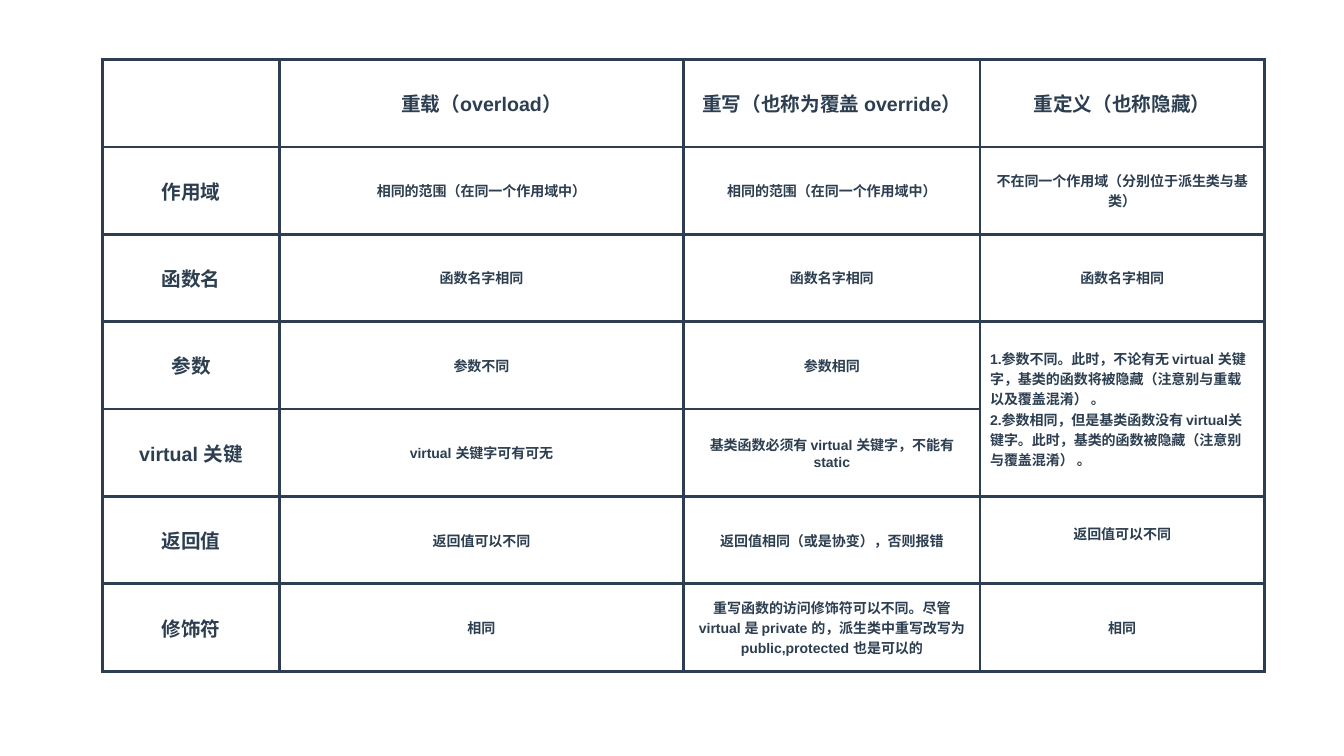
from dataclasses import dataclass

from lxml import etree
from pptx import Presentation
from pptx.dml.color import RGBColor
from pptx.enum import text
from pptx.oxml import ns
from pptx.util import Inches, Pt

ROWS = [
    ["", "重载（overload）", "重写（也称为覆盖 override）", "重定义（也称隐藏）"],
    ["作用域", "相同的范围（在同一个作用域中）", "相同的范围（在同一个作用域中）",
     "不在同一个作用域（分别位于派生类与基类）"],
    ["函数名", "函数名字相同", "函数名字相同", "函数名字相同"],
    ["参数", "参数不同", "参数相同",
     "1.参数不同。此时，不论有无 virtual 关键字，基类的函数将被隐藏（注意别与重载以及覆盖混淆） 。\n"
     "2.参数相同，但是基类函数没有 virtual关键字。此时，基类的函数被隐藏（注意别与覆盖混淆） 。"],
    ["virtual 关键", "virtual 关键字可有可无",
     "基类函数必须有 virtual 关键字，不能有 static", ""],
    ["返回值", "返回值可以不同", "返回值相同（或是协变），否则报错", "返回值可以不同"],
    ["修饰符", "相同",
     "重写函数的访问修饰符可以不同。尽管 virtual 是 private 的，派生类中重写改写为 public,protected 也是可以的",
     "相同"],
]
COLUMN_WIDTHS = [1.75, 4.01, 2.94, 2.82]
ROW_HEIGHT = 0.867
LEFT, TOP = 1.02, 0.59
HIDING_RULES = (3, 3)
RAISED_RETURN = (5, 3)


@dataclass(frozen=True)
class Theme:
    ink: str = "2C3E50"
    font: str = "Arial"
    heading: float = 14
    body: float = 10
    border: float = 2.25


THEME = Theme()


def add_borders(cell):
    properties = cell._tc.get_or_add_tcPr()
    for index, side in enumerate(("lnL", "lnR", "lnT", "lnB")):
        line = etree.Element(ns.qn(f"a:{side}"), w=str(Pt(THEME.border)))
        fill = etree.SubElement(line, ns.qn("a:solidFill"))
        etree.SubElement(fill, ns.qn("a:srgbClr"), val=THEME.ink)
        properties.insert(index, line)


def fill_cell(cell, content, size, alignment):
    cell.fill.background()
    add_borders(cell)
    cell.vertical_anchor = text.MSO_ANCHOR.MIDDLE
    cell.text_frame.text = content
    for paragraph in cell.text_frame.paragraphs:
        paragraph.alignment = alignment
        font = paragraph.font
        font.name = THEME.font
        font.size = Pt(size)
        font.bold = True
        font.color.rgb = RGBColor.from_string(THEME.ink)


def main():
    presentation = Presentation()
    presentation.slide_width = Inches(13.33)
    presentation.slide_height = Inches(7.5)
    slide = presentation.slides.add_slide(presentation.slide_layouts[6])

    table = slide.shapes.add_table(
        len(ROWS), len(COLUMN_WIDTHS), Inches(LEFT), Inches(TOP),
        Inches(sum(COLUMN_WIDTHS)), Inches(ROW_HEIGHT * len(ROWS))).table
    table.first_row = table.horz_banding = False
    for column, width in zip(table.columns, COLUMN_WIDTHS):
        column.width = Inches(width)
    for row in table.rows:
        row.height = Inches(ROW_HEIGHT)

    for r, contents in enumerate(ROWS):
        for c, content in enumerate(contents):
            size = THEME.heading if r == 0 or c == 0 else THEME.body
            alignment = text.PP_ALIGN.LEFT if (r, c) == HIDING_RULES else text.PP_ALIGN.CENTER
            fill_cell(table.cell(r, c), content, size, alignment)

    row, column = HIDING_RULES
    table.cell(row, column).merge(table.cell(row + 1, column))
    table.cell(*RAISED_RETURN).margin_bottom = Inches(0.19)
    presentation.save("out.pptx")


if __name__ == "__main__":
    main()
